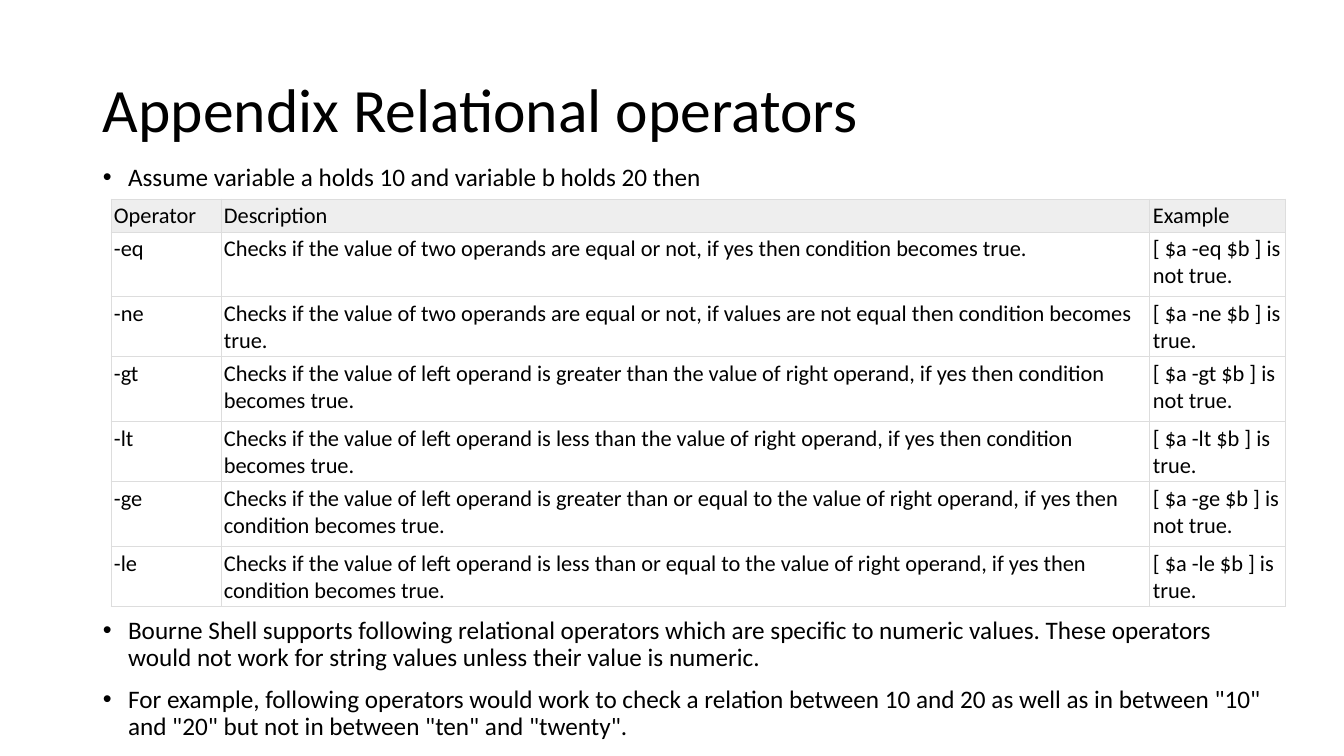
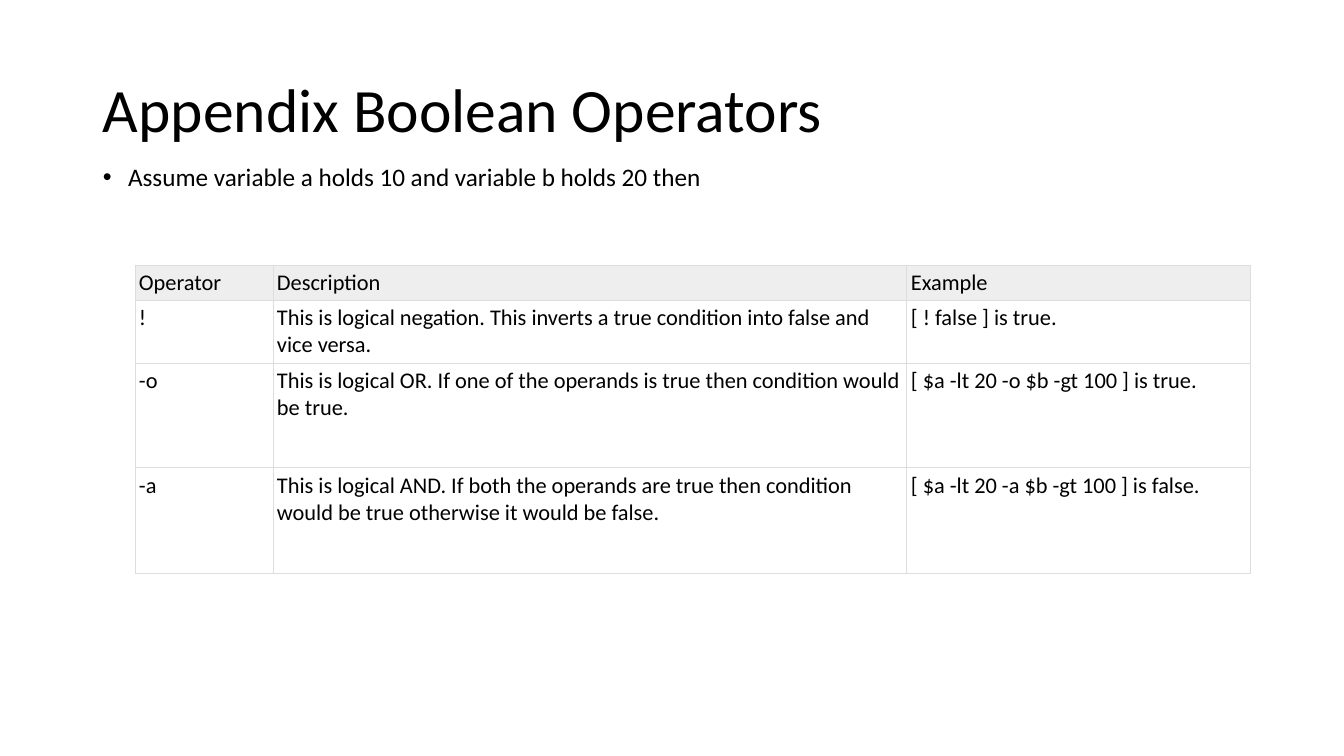
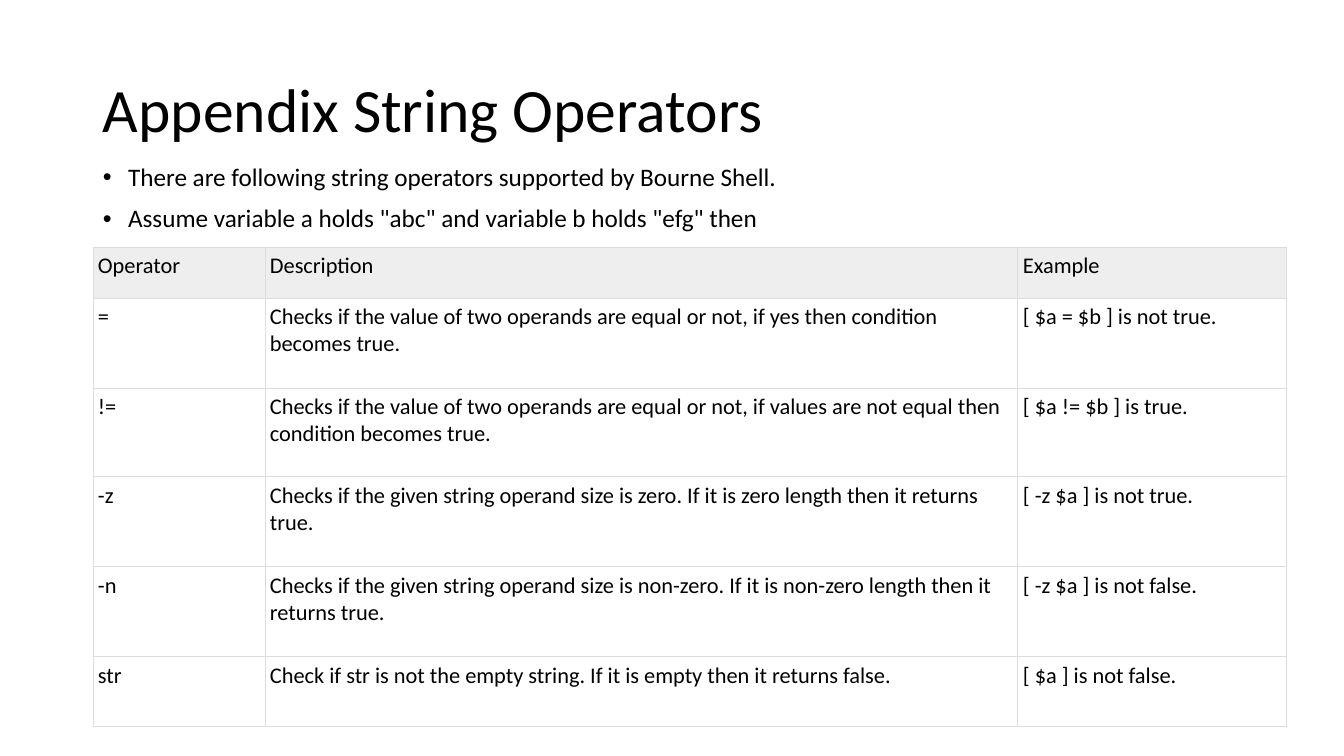
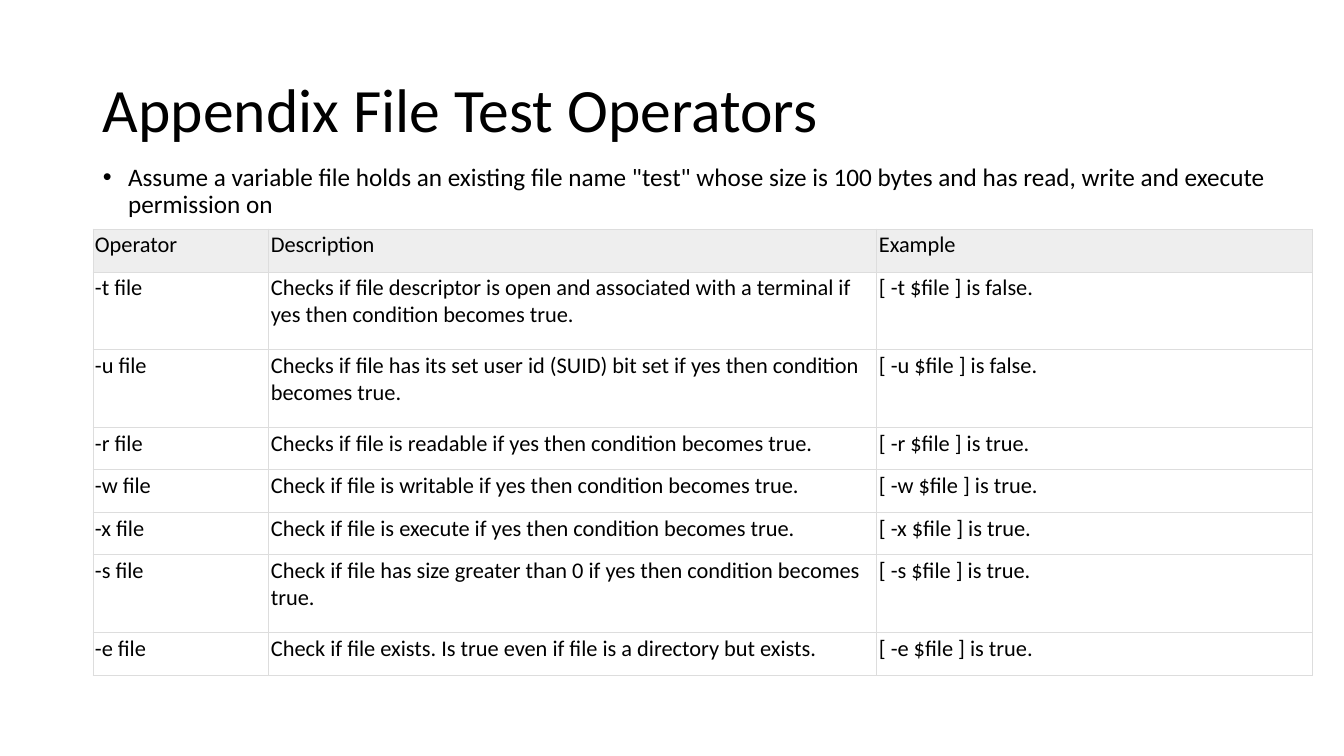
import lxml.etree
import pptx
import pptx.dml.color
import pptx.enum.text
import pptx.oxml.ns
import pptx.util

# Shared style
PIXEL = 914400 / 100.8
FONT = "Calibri"
BLACK = pptx.dml.color.RGBColor(0x00, 0x00, 0x00)
WHITE = pptx.dml.color.RGBColor(0xFF, 0xFF, 0xFF)
HEADER_GRAY = pptx.dml.color.RGBColor(0xEE, 0xEE, 0xEE)
BORDER_GRAY = pptx.dml.color.RGBColor(0xDD, 0xDD, 0xDD)
TITLE_SIZE, BULLET_SIZE, CELL_SIZE = 44, 18, 16
BORDER_WIDTH = pptx.util.Pt(0.75)
BULLET_INDENT = pptx.util.Inches(0.25)
HEADINGS = ("Operator", "Description", "Example")
TITLE_BOX = (93, 40, 1159, 146)
BODY_LEFT, BODY_WIDTH = 93, 1193

# Content: bullets are (top, height, lines); lengths are pixels
SLIDES = [
    {
        "title": "Appendix Relational operators",
        "bullets": [
            (160, 40, ["Assume variable a holds 10 and variable b holds 20 then"]),
            (613, 140, [
                "Bourne Shell supports following relational operators which are specific to numeric "
                "values. These operators would not work for string values unless their value is numeric.",
                "For example, following operators would work to check a relation between 10 and 20 as "
                'well as in between "10" and "20" but not in between "ten" and "twenty".',
            ]),
        ],
        "left": 111, "top": 199, "margin": 3,
        "columns": [110, 929, 136],
        "heights": [33, 65, 60, 65, 60, 65, 60],
        "rows": [
            ("-eq", "Checks if the value of two operands are equal or not, if yes then condition "
             "becomes true.", "[ $a -eq $b ] is not true."),
            ("-ne", "Checks if the value of two operands are equal or not, if values are not equal "
             "then condition becomes true.", "[ $a -ne $b ] is true."),
            ("-gt", "Checks if the value of left operand is greater than the value of right operand, "
             "if yes then condition becomes true.", "[ $a -gt $b ] is not true."),
            ("-lt", "Checks if the value of left operand is less than the value of right operand, "
             "if yes then condition becomes true.", "[ $a -lt $b ] is true."),
            ("-ge", "Checks if the value of left operand is greater than or equal to the value of "
             "right operand, if yes then condition becomes true.", "[ $a -ge $b ] is not true."),
            ("-le", "Checks if the value of left operand is less than or equal to the value of "
             "right operand, if yes then condition becomes true.", "[ $a -le $b ] is true."),
        ],
    },
    {
        "title": "Appendix Boolean Operators",
        "bullets": [(160, 40, ["Assume variable a holds 10 and variable b holds 20 then"])],
        "left": 135, "top": 265, "margin": 4,
        "columns": [138, 634, 344],
        "heights": [35, 63, 105, 106],
        "rows": [
            ("!", "This is logical negation. This inverts a true condition into false and vice versa.",
             "[ ! false ] is true."),
            ("-o", "This is logical OR. If one of the operands is true then condition would be true.",
             "[ $a -lt 20 -o $b -gt 100 ] is true."),
            ("-a", "This is logical AND. If both the operands are true then condition would be true "
             "otherwise it would be false.", "[ $a -lt 20 -a $b -gt 100 ] is false."),
        ],
    },
    {
        "title": "Appendix String Operators",
        "bullets": [(160, 84, [
            "There are following string operators supported by Bourne Shell.",
            'Assume variable a holds "abc" and variable b holds "efg" then',
        ])],
        "left": 93, "top": 247, "margin": 5,
        "columns": [172, 753, 269],
        "heights": [51, 90, 89, 90, 90, 70],
        "rows": [
            ("=", "Checks if the value of two operands are equal or not, if yes then condition "
             "becomes true.", "[ $a = $b ] is not true."),
            ("!=", "Checks if the value of two operands are equal or not, if values are not equal "
             "then condition becomes true.", "[ $a != $b ] is true."),
            ("-z", "Checks if the given string operand size is zero. If it is zero length then it "
             "returns true.", "[ -z $a ] is not true."),
            ("-n", "Checks if the given string operand size is non-zero. If it is non-zero length "
             "then it returns true.", "[ -z $a ] is not false."),
            ("str", "Check if str is not the empty string. If it is empty then it returns false.",
             "[ $a ] is not false."),
        ],
    },
    {
        "title": "Appendix File Test Operators",
        "bullets": [(160, 66, [
            'Assume a variable file holds an existing file name "test" whose size is 100 bytes and '
            "has read, write and execute permission on",
        ])],
        "left": 93, "top": 229, "margin": 2,
        "columns": [176, 608, 436],
        "heights": [43, 78, 78, 42, 43, 42, 78, 43],
        "rows": [
            ("-t file", "Checks if file descriptor is open and associated with a terminal if yes then "
             "condition becomes true.", "[ -t $file ] is false."),
            ("-u file", "Checks if file has its set user id (SUID) bit set if yes then condition "
             "becomes true.", "[ -u $file ] is false."),
            ("-r file", "Checks if file is readable if yes then condition becomes true.",
             "[ -r $file ] is true."),
            ("-w file", "Check if file is writable if yes then condition becomes true.",
             "[ -w $file ] is true."),
            ("-x file", "Check if file is execute if yes then condition becomes true.",
             "[ -x $file ] is true."),
            ("-s file", "Check if file has size greater than 0 if yes then condition becomes true.",
             "[ -s $file ] is true."),
            ("-e file", "Check if file exists. Is true even if file is a directory but exists.",
             "[ -e $file ] is true."),
        ],
    },
]


def scale(*pixels):
    return [pptx.util.Emu(round(pixel * PIXEL)) for pixel in pixels]


def write_text(text_frame, lines, size):
    text_frame.word_wrap = True
    text_frame.text = "\n".join(lines)
    for paragraph in text_frame.paragraphs:
        for run in paragraph.runs:
            run.font.name = FONT
            run.font.size = pptx.util.Pt(size)
            run.font.color.rgb = BLACK


presentation = pptx.Presentation()
presentation.slide_width, presentation.slide_height = scale(1344, 756)

for content in SLIDES:
    slide = presentation.slides.add_slide(presentation.slide_layouts[6])

    # Title
    title = slide.shapes.add_textbox(*scale(*TITLE_BOX)).text_frame
    write_text(title, [content["title"]], TITLE_SIZE)
    title.vertical_anchor = pptx.enum.text.MSO_ANCHOR.MIDDLE
    title.paragraphs[0].line_spacing = 0.9

    # Bullets
    for top, height, lines in content["bullets"]:
        body = slide.shapes.add_textbox(*scale(BODY_LEFT, top, BODY_WIDTH, height)).text_frame
        write_text(body, lines, BULLET_SIZE)
        for paragraph in body.paragraphs:
            paragraph.line_spacing = 0.9
            paragraph.space_before = pptx.util.Pt(10)
            properties = paragraph._p.get_or_add_pPr()
            properties.set("marL", str(BULLET_INDENT))
            properties.set("indent", str(-BULLET_INDENT))
            bullet_font = lxml.etree.SubElement(properties, pptx.oxml.ns.qn("a:buFont"))
            bullet_font.set("typeface", "Arial")
            bullet = lxml.etree.SubElement(properties, pptx.oxml.ns.qn("a:buChar"))
            bullet.set("char", "•")

    # Operator table
    rows = [HEADINGS] + content["rows"]
    frame = slide.shapes.add_table(
        len(rows), len(HEADINGS),
        *scale(content["left"], content["top"], sum(content["columns"]), sum(content["heights"])))
    table = frame.table
    table.first_row = table.horz_banding = False
    for column, width in zip(table.columns, scale(*content["columns"])):
        column.width = width
    for row, height in zip(table.rows, scale(*content["heights"])):
        row.height = height
    margin = scale(content["margin"])[0]
    for row_index, texts in enumerate(rows):
        for column_index, text in enumerate(texts):
            cell = table.cell(row_index, column_index)
            write_text(cell.text_frame, [text], CELL_SIZE)
            cell.margin_left = cell.margin_right = margin
            cell.margin_top = cell.margin_bottom = margin
            # Borders come before the fill in the cell properties
            properties = cell._tc.get_or_add_tcPr()
            for side in ("a:lnL", "a:lnR", "a:lnT", "a:lnB"):
                border = lxml.etree.SubElement(properties, pptx.oxml.ns.qn(side))
                border.set("w", str(BORDER_WIDTH))
                border_fill = lxml.etree.SubElement(border, pptx.oxml.ns.qn("a:solidFill"))
                color = lxml.etree.SubElement(border_fill, pptx.oxml.ns.qn("a:srgbClr"))
                color.set("val", str(BORDER_GRAY))
            cell.fill.solid()
            cell.fill.fore_color.rgb = HEADER_GRAY if row_index == 0 else WHITE

presentation.save("out.pptx")
